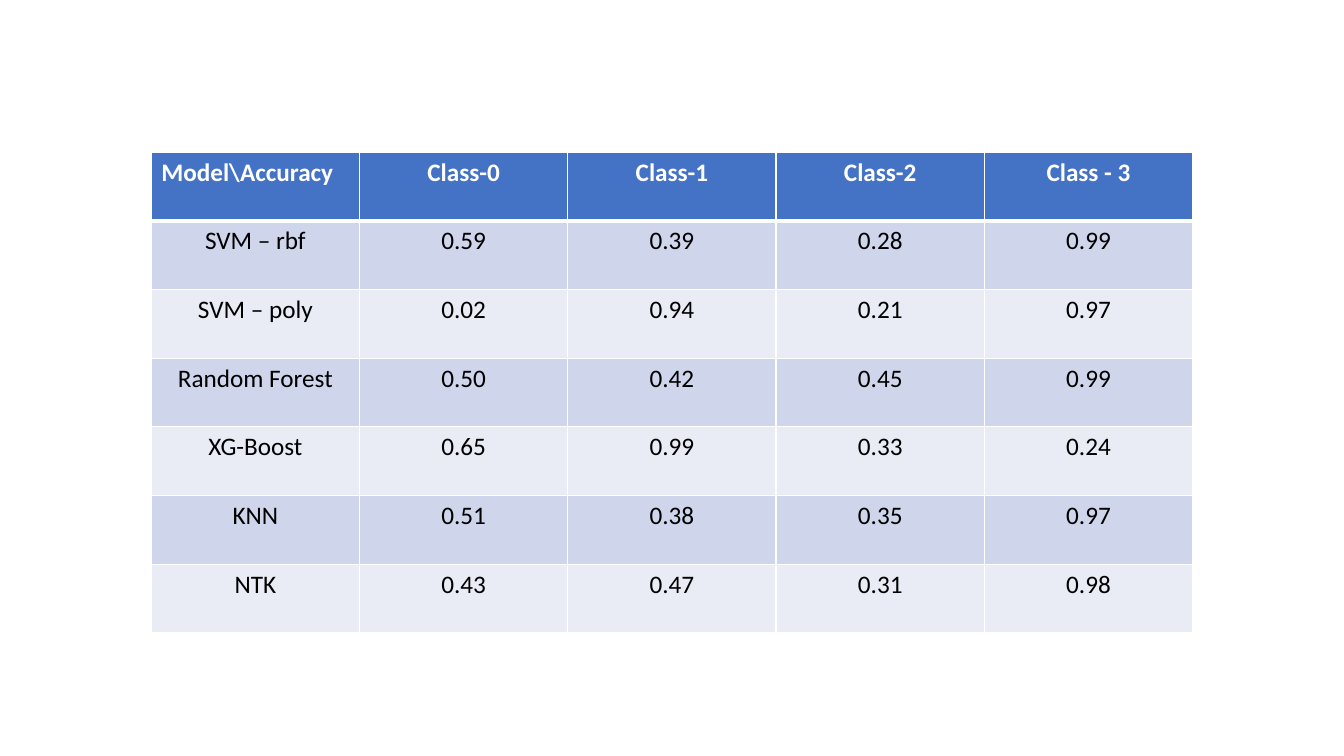
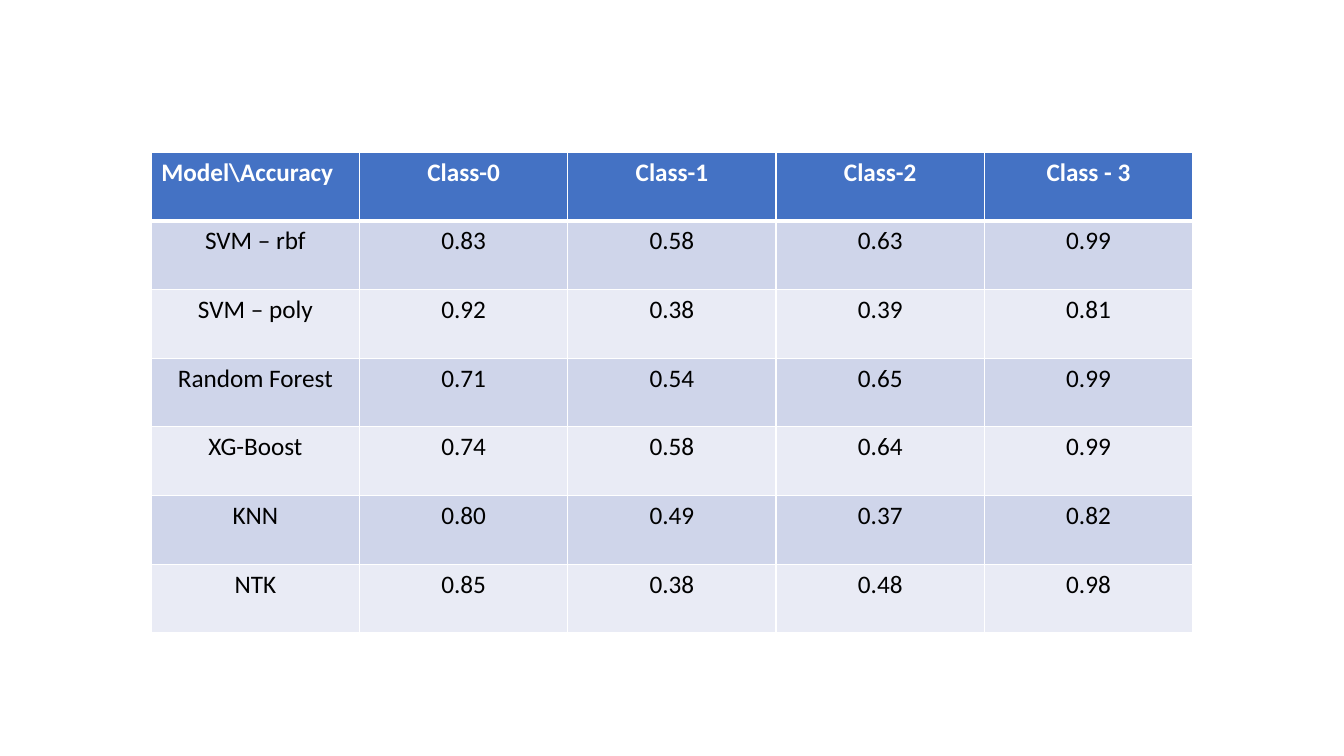
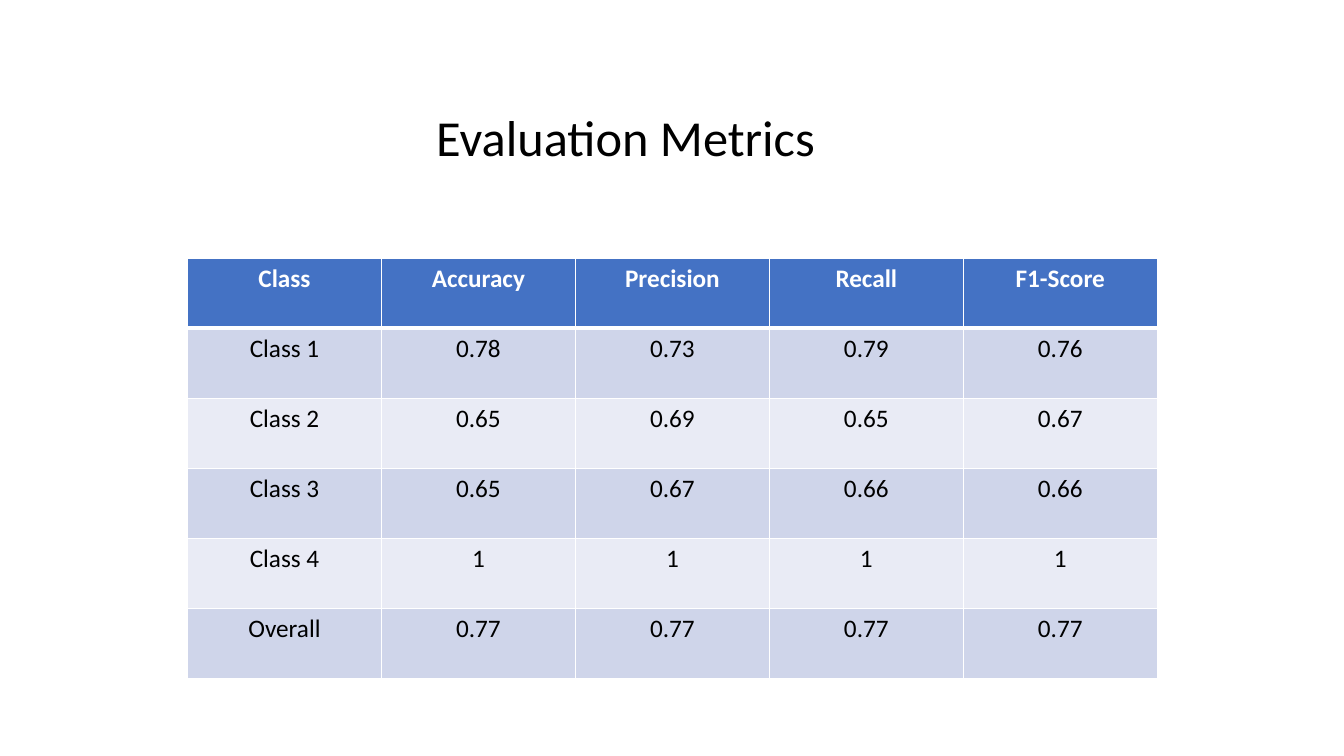
from lxml.etree import SubElement
from pptx import Presentation
from pptx.dml.color import RGBColor
from pptx.enum.text import PP_ALIGN
from pptx.oxml.ns import qn
from pptx.util import Inches, Pt

FONT = "Calibri"
WHITE = RGBColor(0xFF, 0xFF, 0xFF)
BLACK = RGBColor(0x00, 0x00, 0x00)
HEADER_BLUE = RGBColor(0x44, 0x72, 0xC4)
BANDS = (RGBColor(0xCF, 0xD5, 0xEA), RGBColor(0xE9, 0xEB, 0xF5))

THIN, THICK = Pt(1), Pt(3)

MODEL_BOX = (1.5, 1.51, 10.33, 4.77)
METRICS_BOX = (1.86, 2.56, 9.62, 4.17)
TITLE_BOX = (3.75, 1, 4.91, 0.71)

MODEL_HEADER = ("Model\\Accuracy", "Class-0", "Class-1", "Class-2", "Class - 3")
MODELS = ("SVM – rbf", "SVM – poly", "Random Forest", "XG-Boost", "KNN", "NTK")
MODEL_RESULTS = (
    (
        ("0.59", "0.39", "0.28", "0.99"),
        ("0.02", "0.94", "0.21", "0.97"),
        ("0.50", "0.42", "0.45", "0.99"),
        ("0.65", "0.99", "0.33", "0.24"),
        ("0.51", "0.38", "0.35", "0.97"),
        ("0.43", "0.47", "0.31", "0.98"),
    ),
    (
        ("0.83", "0.58", "0.63", "0.99"),
        ("0.92", "0.38", "0.39", "0.81"),
        ("0.71", "0.54", "0.65", "0.99"),
        ("0.74", "0.58", "0.64", "0.99"),
        ("0.80", "0.49", "0.37", "0.82"),
        ("0.85", "0.38", "0.48", "0.98"),
    ),
)
METRICS = (
    ("Class", "Accuracy", "Precision", "Recall", "F1-Score"),
    ("Class 1", "0.78", "0.73", "0.79", "0.76"),
    ("Class 2", "0.65", "0.69", "0.65", "0.67"),
    ("Class 3", "0.65", "0.67", "0.66", "0.66"),
    ("Class 4", "1", "1", "1", "1"),
    ("Overall", "0.77", "0.77", "0.77", "0.77"),
)


def write_text(frame, text, size=18, color=BLACK, bold=False, align=PP_ALIGN.CENTER):
    paragraph = frame.paragraphs[0]
    paragraph.alignment = align
    run = paragraph.add_run()
    run.text = text
    run.font.name = FONT
    run.font.size = Pt(size)
    run.font.bold = bold
    run.font.color.rgb = color


def set_borders(cell, top, bottom):
    """Draw white cell edges; the schema wants them before the cell's fill."""
    properties = cell._tc.get_or_add_tcPr()
    for edge, width in (("L", THIN), ("R", THIN), ("T", top), ("B", bottom)):
        line = SubElement(properties, qn(f"a:ln{edge}"), w=str(width))
        fill = SubElement(line, qn("a:solidFill"))
        SubElement(fill, qn("a:srgbClr"), val=str(WHITE))


def add_banded_table(slide, box, rows, corner_align=PP_ALIGN.CENTER):
    left, top, width, height = map(Inches, box)
    table = slide.shapes.add_table(
        len(rows), len(rows[0]), left, top, width, height
    ).table
    for r, row in enumerate(rows):
        is_header = r == 0
        for c, text in enumerate(row):
            cell = table.cell(r, c)
            set_borders(
                cell,
                top=THICK if r == 1 else THIN,
                bottom=THICK if is_header else THIN,
            )
            cell.fill.solid()
            cell.fill.fore_color.rgb = HEADER_BLUE if is_header else BANDS[(r - 1) % 2]
            write_text(
                cell.text_frame,
                text,
                color=WHITE if is_header else BLACK,
                bold=is_header,
                align=corner_align if r == c == 0 else PP_ALIGN.CENTER,
            )


def add_title(slide, box, text):
    frame = slide.shapes.add_textbox(*map(Inches, box)).text_frame
    frame.word_wrap = True
    write_text(frame, text, size=36)


def add_model_slide(slide, results):
    rows = [MODEL_HEADER]
    rows += [(model, *scores) for model, scores in zip(MODELS, results)]
    add_banded_table(slide, MODEL_BOX, rows, corner_align=PP_ALIGN.LEFT)


def add_metrics_slide(slide):
    add_banded_table(slide, METRICS_BOX, METRICS)
    add_title(slide, TITLE_BOX, "Evaluation Metrics")


def main():
    deck = Presentation()
    deck.slide_width, deck.slide_height = Inches(13.33), Inches(7.5)
    blank = deck.slide_layouts[6]
    for results in MODEL_RESULTS:
        add_model_slide(deck.slides.add_slide(blank), results)
    add_metrics_slide(deck.slides.add_slide(blank))
    deck.save("out.pptx")


if __name__ == "__main__":
    main()
